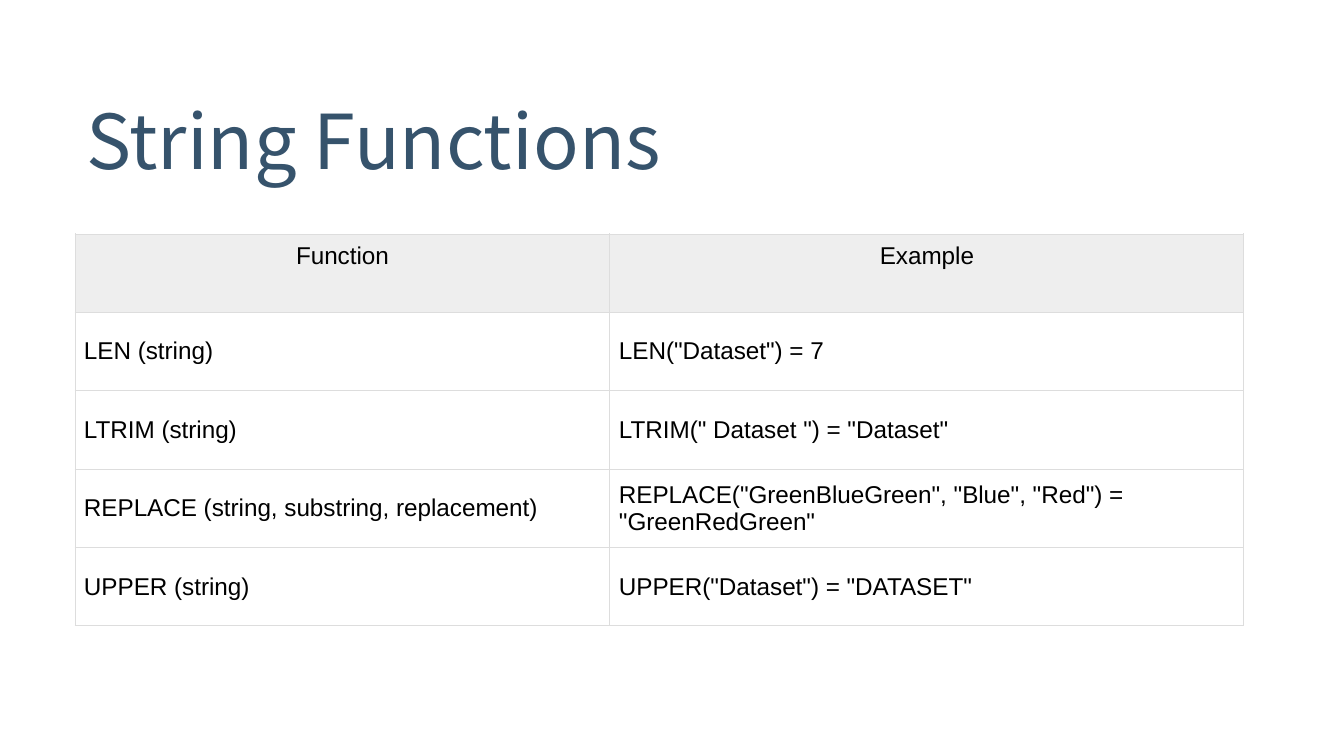
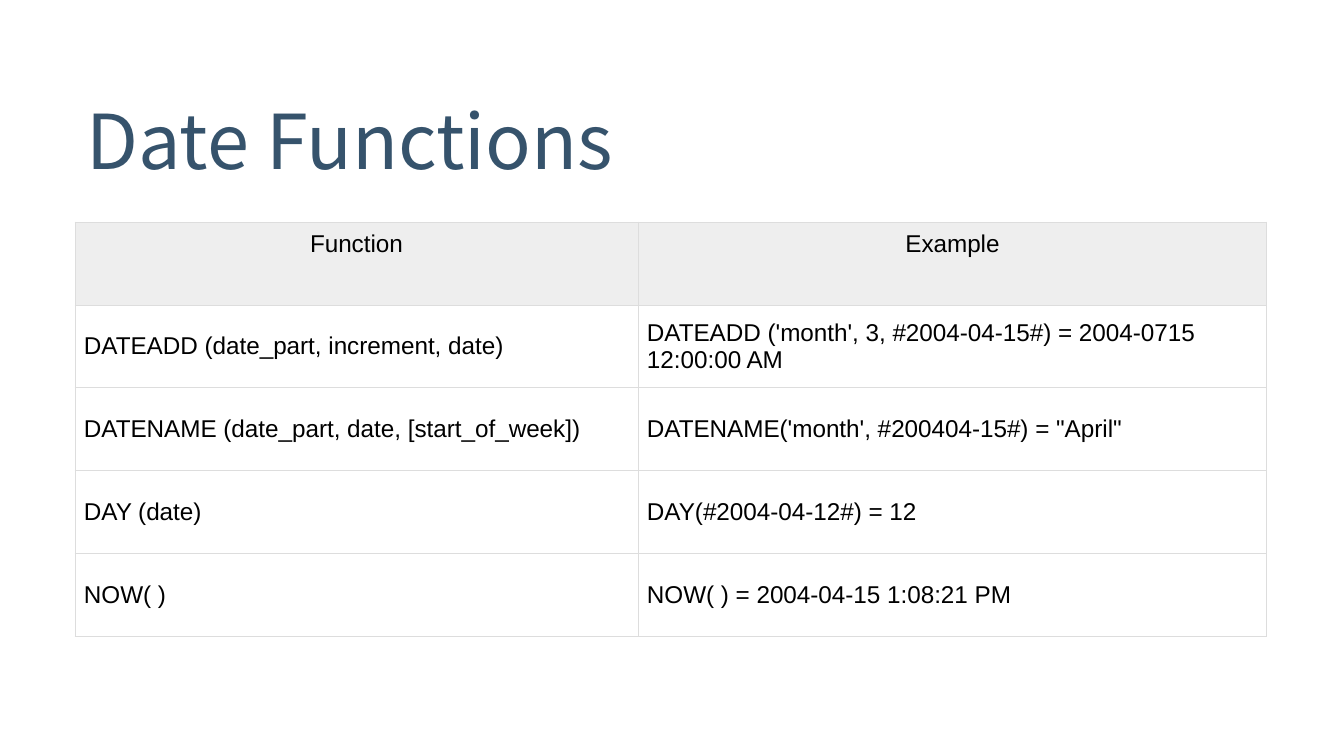
from dataclasses import dataclass

from lxml.etree import SubElement
from pptx import Presentation
from pptx.dml.color import RGBColor
from pptx.enum.text import MSO_ANCHOR, PP_ALIGN
from pptx.oxml.ns import qn
from pptx.slide import Slide
from pptx.table import _Cell
from pptx.text.text import _Paragraph
from pptx.util import Emu, Pt

EMU_PER_PX = 914400 / 134.4
SLIDE_W, SLIDE_H = 1344, 756
TITLE_BOX = (73, 55, 1188, 183)
TABLE_LEFT = 75
CELL_MARGIN = 9
BORDER = Pt(0.6)
COLORS = {
    "title": "36536C",
    "text": "000000",
    "header": "EEEEEE",
    "border": "DDDDDD",
}
TITLE_FONT, TABLE_FONT = "Noto Sans CJK KR", "Arial"
HEADER = ("Function", "Example")


@dataclass(frozen=True)
class FunctionSlide:
    title: str
    top: int
    height: int
    col_widths: tuple[int, int]
    functions: tuple[tuple[str, str], ...]


SLIDES = (
    FunctionSlide("String Functions", 234, 392, (535, 634), (
        ("LEN (string)", 'LEN("Dataset") = 7'),
        ("LTRIM (string)", 'LTRIM(" Dataset ") = "Dataset"'),
        ("REPLACE (string, substring, replacement)",
         'REPLACE("GreenBlueGreen", "Blue", "Red") = "GreenRedGreen"'),
        ("UPPER (string)", 'UPPER("Dataset") = "DATASET"'),
    )),
    FunctionSlide("Date Functions", 222, 415, (563, 629), (
        ("DATEADD (date_part, increment, date)",
         "DATEADD ('month', 3, #2004-04-15#) = 2004-0715 12:00:00 AM"),
        ("DATENAME (date_part, date, [start_of_week])",
         "DATENAME('month', #200404-15#) = \"April\""),
        ("DAY (date)", "DAY(#2004-04-12#) = 12"),
        ("NOW( )", "NOW( ) = 2004-04-15 1:08:21 PM"),
    )),
)


def px(n: float) -> Emu:
    return Emu(round(n * EMU_PER_PX))


def rgb(name: str) -> RGBColor:
    return RGBColor.from_string(COLORS[name])


def format_runs(p: _Paragraph, font: str, size: float, color: str) -> None:
    for r in p.runs:
        r.font.name = font
        r.font.size = Pt(size)
        r.font.color.rgb = rgb(color)


def add_title(s: Slide, text: str) -> None:
    tf = s.shapes.add_textbox(*map(px, TITLE_BOX)).text_frame
    tf.word_wrap = True
    tf.vertical_anchor = MSO_ANCHOR.MIDDLE
    tf.text = text
    p = tf.paragraphs[0]
    p.line_spacing = 0.85
    format_runs(p, TITLE_FONT, 40.5, "title")


def add_borders(cell: _Cell) -> None:
    """Outline all four sides; call before filling, as lines precede the fill."""
    tc_pr = cell._tc.get_or_add_tcPr()
    for side in ("a:lnL", "a:lnR", "a:lnT", "a:lnB"):
        ln = SubElement(tc_pr, qn(side), w=str(BORDER))
        fill = SubElement(ln, qn("a:solidFill"))
        SubElement(fill, qn("a:srgbClr"), val=COLORS["border"])


def fill_cell(cell: _Cell, text: str, is_header: bool) -> None:
    add_borders(cell)
    cell.margin_left = cell.margin_right = px(CELL_MARGIN)
    cell.margin_top = cell.margin_bottom = px(CELL_MARGIN)
    cell.text_frame.text = text
    p = cell.text_frame.paragraphs[0]
    if is_header:
        cell.fill.solid()
        cell.fill.fore_color.rgb = rgb("header")
        p.alignment = PP_ALIGN.CENTER
    else:
        cell.fill.background()
        cell.vertical_anchor = MSO_ANCHOR.MIDDLE
    format_runs(p, TABLE_FONT, 13, "text")


def add_function_table(s: Slide, content: FunctionSlide) -> None:
    rows = (HEADER, *content.functions)
    table = s.shapes.add_table(
        len(rows), len(HEADER), px(TABLE_LEFT), px(content.top),
        px(sum(content.col_widths)), px(content.height)).table
    table.first_row = table.horz_banding = False
    for column, width in zip(table.columns, content.col_widths):
        column.width = px(width)
    for i, texts in enumerate(rows):
        for j, text in enumerate(texts):
            fill_cell(table.cell(i, j), text, is_header=i == 0)


def main() -> None:
    prs = Presentation()
    prs.slide_width, prs.slide_height = px(SLIDE_W), px(SLIDE_H)
    for content in SLIDES:
        s = prs.slides.add_slide(prs.slide_layouts[6])
        add_title(s, content.title)
        add_function_table(s, content)
    prs.save("out.pptx")


if __name__ == "__main__":
    main()
